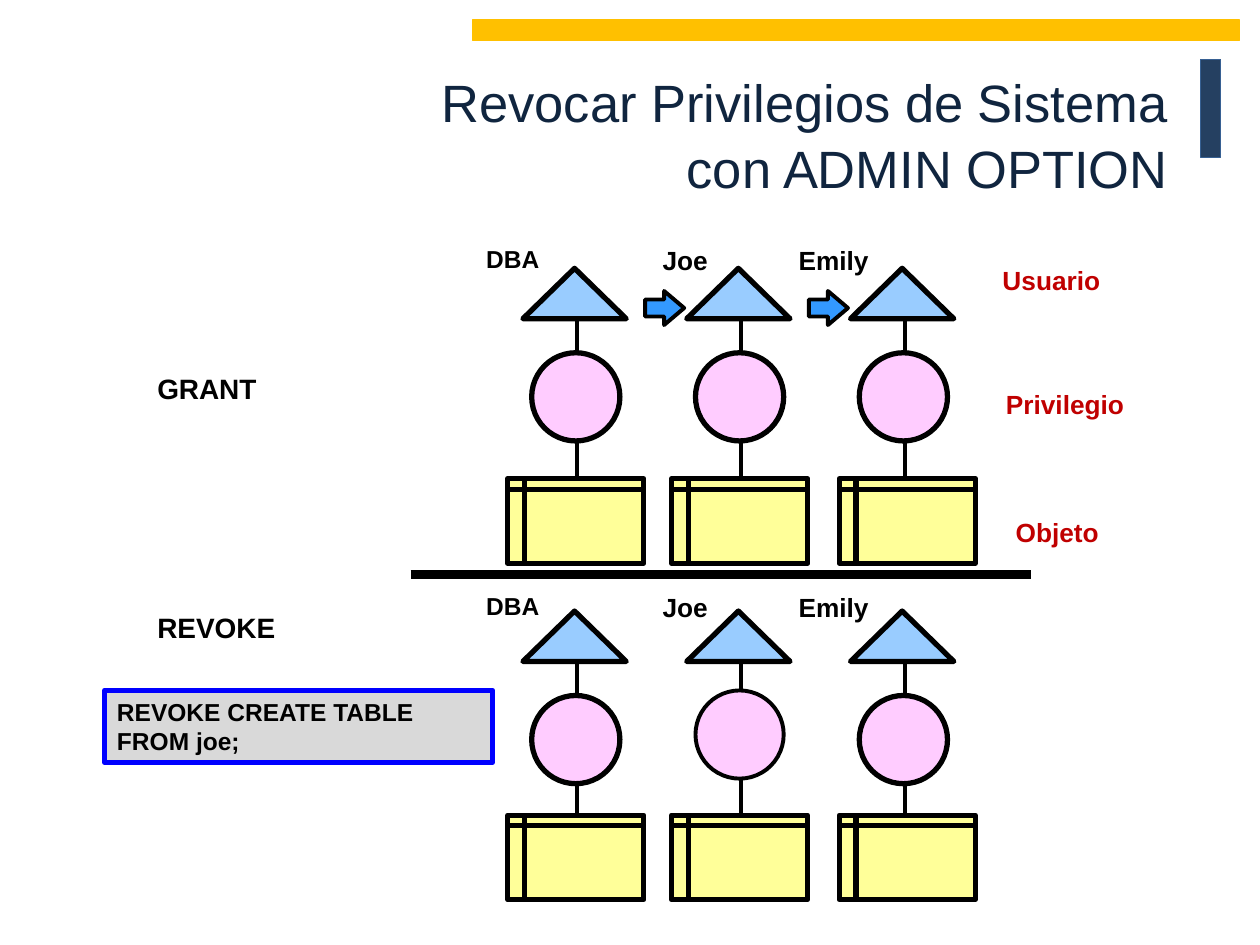
from lxml.etree import SubElement
from pptx import Presentation
from pptx.dml.color import RGBColor
from pptx.enum.shapes import MSO_CONNECTOR as LINK, MSO_SHAPE as KIND
from pptx.enum.text import MSO_ANCHOR as ANCHOR, PP_ALIGN as ALIGN
from pptx.oxml.ns import qn
from pptx.util import Inches, Pt

COLORS = {
    "black": "000000", "navy": "254061", "edge": "376092", "gold": "FFC000",
    "title": "10253F", "red": "C00000", "gray": "D9D9D9", "blue": "0000FF",
    "sky": "99CCFF", "pink": "FFCCFF", "arrow": "3399FF", "cream": "FFFF99",
}
USERS = [("DBA", 3.76, 0.77, 14), ("Joe", 5.16, 0.65, 15), ("Emily", 6.24, 1.03, 15)]
STEP = 1.3


def color(name):
    return RGBColor.from_string(COLORS[name])


def add_shape(slide, kind, box, fill, line="black", width=3):
    shape = slide.shapes.add_shape(kind, *map(Inches, box))
    shape.shadow.inherit = False
    shape.fill.solid()
    shape.fill.fore_color.rgb = color(fill)
    shape.line.color.rgb = color(line)
    shape.line.width = Pt(width)
    return shape


def add_line(slide, start, end, width):
    line = slide.shapes.add_connector(LINK.STRAIGHT, *map(Inches, start + end))
    line.line.color.rgb = color("black")
    line.line.width = Pt(width)
    SubElement(line._element.spPr, qn("a:effectLst"))


def set_text(shape, text, size, ink="black", bold=True, align=ALIGN.LEFT, wrap=True):
    frame = shape.text_frame
    frame.text = text
    frame.word_wrap = wrap
    para = frame.paragraphs[0]
    para.alignment = align
    for run in para.runs:
        run.font.name = "Arial"
        run.font.size = Pt(size)
        run.font.bold = bold
        run.font.color.rgb = color(ink)
    return frame


def add_label(slide, box, *args, **style):
    return set_text(slide.shapes.add_textbox(*map(Inches, box)), *args, **style)


def add_title(slide):
    frame = add_label(slide, (0.75, 0.26, 8.74, 1.6),
                      "Revocar Privilegios de Sistema\vcon ADMIN OPTION",
                      30, "title", bold=False, align=ALIGN.RIGHT)
    frame.vertical_anchor = ANCHOR.MIDDLE
    frame.margin_right = Inches(0.22)
    frame.paragraphs[0].line_spacing = 1.04


def add_chain(slide, col, top, store, drop=0, width=3):
    left = 4.15 + col * STEP
    mid = left + 0.43
    add_line(slide, (mid, top + 0.19), (mid, top + 1.82), 2.25)
    add_shape(slide, KIND.ISOSCELES_TRIANGLE, (left, top, 0.82, 0.4), "sky")
    add_shape(slide, KIND.OVAL, (left + 0.07, top + 0.67 + drop, 0.7, 0.7),
              "pink", width=width)
    add_shape(slide, KIND.FLOWCHART_INTERNAL_STORAGE,
              ((4.03, 5.33, 6.66)[col], store, 1.08, 0.67), "cream")


def add_users(slide, top):
    for name, left, width, size in USERS:
        add_label(slide, (left, top, width, 0.35), name, size)


def main():
    """Build the slide on revoking system privileges."""
    deck = Presentation()
    deck.slide_width, deck.slide_height = Inches(10), Inches(7.5)
    slide = deck.slides.add_slide(deck.slide_layouts[6])

    add_shape(slide, KIND.RECTANGLE, (9.53, 0.47, 0.16, 0.78), "navy", "edge", 0.75)
    add_shape(slide, KIND.RECTANGLE, (3.75, 0.16, 6.09, 0.16), "gold", "gold", 0.75)
    add_title(slide)

    add_label(slide, (1.15, 2.9, 1, 0.37), "GRANT", 16, wrap=False)
    add_label(slide, (1.15, 4.8, 1.15, 0.37), "REVOKE", 16, wrap=False)
    code = add_shape(slide, KIND.RECTANGLE, (0.83, 5.48, 3.08, 0.57), "gray", "blue")
    set_text(code, "REVOKE CREATE TABLE FROM joe;", 14)

    for text, left, top, width in [("Usuario", 7.84, 2.05, 0.99),
                                   ("Privilegio", 7.87, 3.03, 1.15),
                                   ("Objeto", 7.95, 4.05, 0.87)]:
        add_label(slide, (left, top, width, 0.35), text, 15, "red",
                  align=ALIGN.RIGHT, wrap=False)

    add_line(slide, (3.26, 4.56), (8.18, 4.56), 5)
    for col in range(3):
        add_chain(slide, col, 2.13, 3.8)
        lost = col == 1
        add_chain(slide, col, 4.85, 6.47, -0.04 if lost else 0, 2.25 if lost else 3)
    for col in range(2):
        arrow = add_shape(slide, KIND.RIGHT_ARROW, (5.12 + col * STEP, 2.31, 0.31, 0.27),
                          "arrow", width=2.25)
        arrow.adjustments[1] = 0.59
    for top in (1.89, 4.64):
        add_users(slide, top)

    deck.save("out.pptx")


if __name__ == "__main__":
    main()
